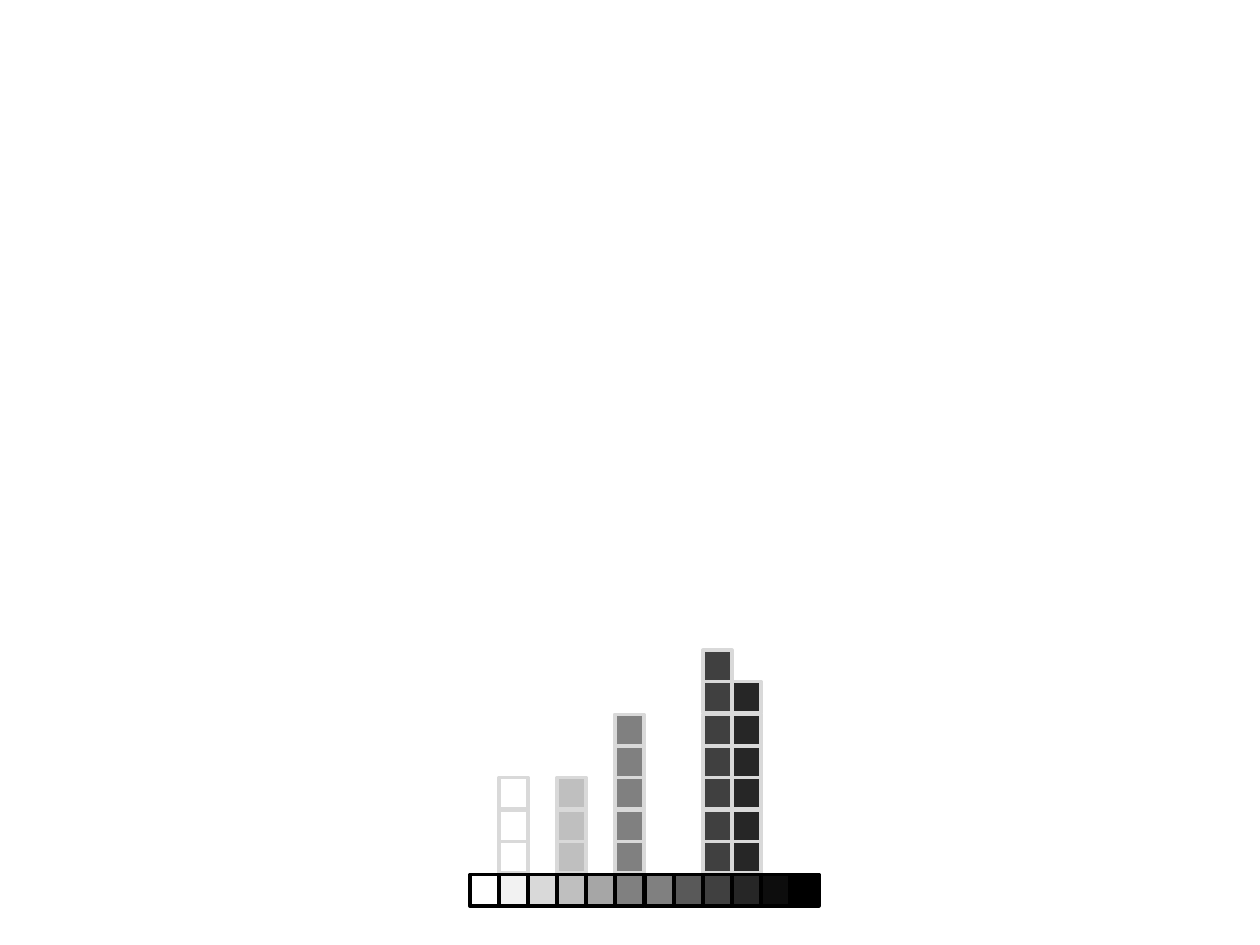
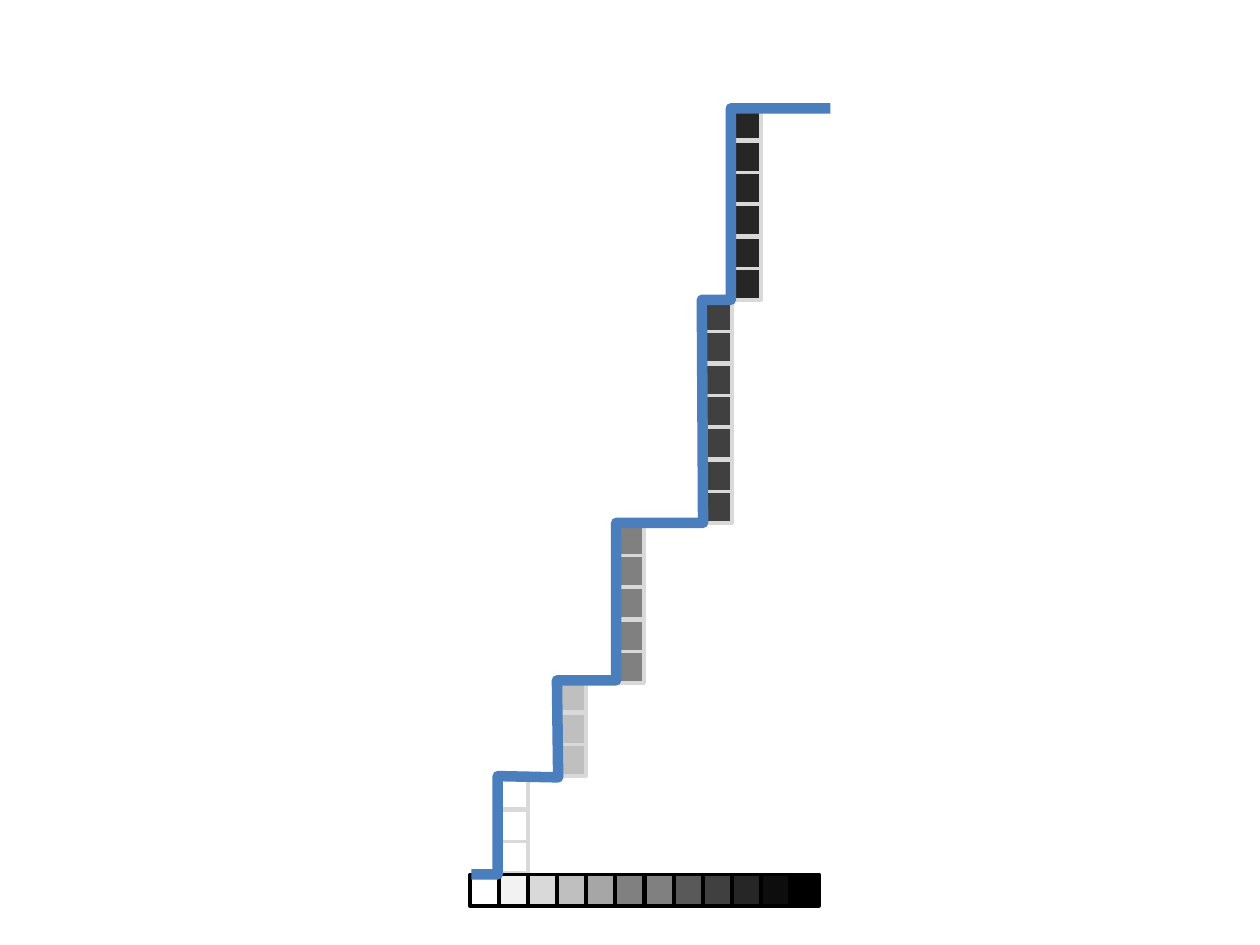
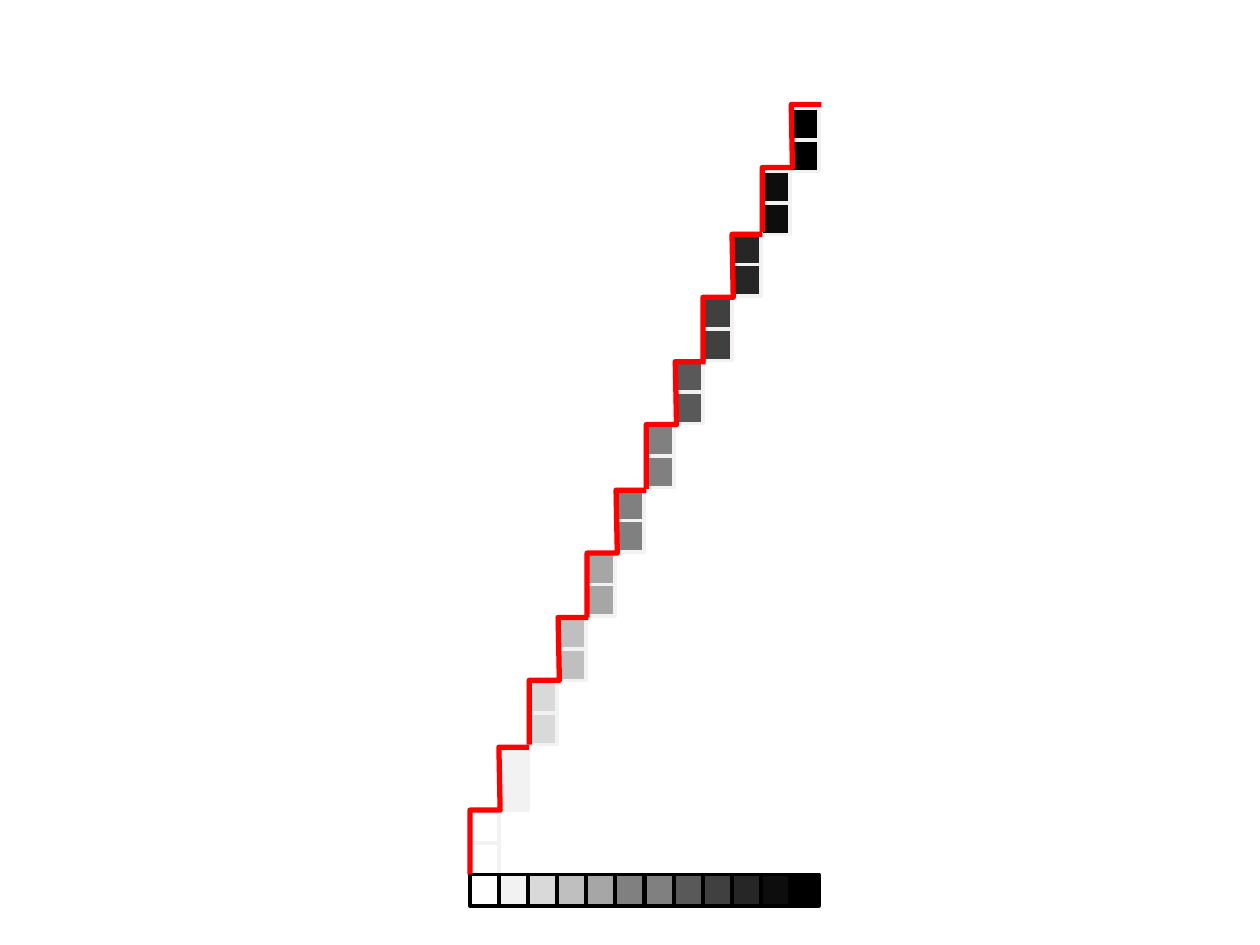
from pptx import Presentation
from pptx.dml.color import RGBColor
from pptx.enum.shapes import MSO_SHAPE
from pptx.util import Pt

EMU_PER_PX = 9144  # 100 px to the inch

COLORS = {
    "ramp_outline": "000000",
    "histogram_outline": "D9D9D9",
    "uniform_outline": "F2F2F2",
    "histogram_curve": "4B7EBC",
    "uniform_curve": "FF0000",
}
GRAYS = ["FFFFFF", "F2F2F2", "D9D9D9", "BFBFBF", "A6A6A6", "808080",
         "808080", "595959", "404040", "262626", "0D0D0D", "000000"]

RAMP_LEFT, RAMP_TOP, RAMP_SPAN = 373, 694, 254
CELL_WIDTH, CELL_HEIGHT, ROW_PITCH = 23, 25, 25.4

# Gray level: (number of cells, bottom when stacked cumulatively, fill)
HISTOGRAM = {
    1: (3, 694, "FFFFFF"),
    3: (3, 617, "BFBFBF"),
    5: (5, 543, "808080"),
    8: (7, 416, "404040"),
    9: (6, 239, "262626"),
}
HISTOGRAM_CURVE = [
    (374, 694), (395, 694), (395, 616), (443, 617), (442, 540), (489, 540),
    (489, 415), (558, 415), (557, 238), (580, 238), (580, 86), (659, 86),
]
UNIFORM_BOTTOMS = [695, 644, 592, 541, 490, 439, 388, 337, 287, 236, 187, 137]
DOUBLE_STEP = [(0, 0), (0, -51), (24, -51), (23, -101), (47, -101)]
DOUBLE_STEP_STARTS = [(373, 694), (420, 591), (466, 490),
                      (513, 388), (558, 287), (605, 184)]


class Deck:
    def __init__(self):
        self.presentation = Presentation()
        self.presentation.slide_width = 1000 * EMU_PER_PX
        self.presentation.slide_height = 750 * EMU_PER_PX
        self.slide = None

    def add_slide(self):
        layout = self.presentation.slide_layouts[6]
        self.slide = self.presentation.slides.add_slide(layout)

    def style_line(self, shape, color, width):
        shape.shadow.inherit = False
        shape.line.color.rgb = RGBColor.from_string(color)
        shape.line.width = Pt(width)

    def cell(self, shapes, level, top, fill, outline):
        """Add one cell in the column of a gray level."""
        left = RAMP_LEFT + round(RAMP_SPAN * level / (len(GRAYS) - 1))
        box = [length * EMU_PER_PX for length in (left, top, CELL_WIDTH, CELL_HEIGHT)]
        shape = shapes.add_shape(MSO_SHAPE.RECTANGLE, *box)
        shape.fill.solid()
        shape.fill.fore_color.rgb = RGBColor.from_string(fill)
        self.style_line(shape, outline, 2)

    def column(self, level, count, bottom, fill, outline):
        """Stack a group of cells upwards from bottom."""
        group = self.slide.shapes.add_group_shape()
        for row in range(1, count + 1):
            self.cell(group.shapes, level, int(bottom - row * ROW_PITCH), fill, outline)

    def ramp(self):
        for level, gray in enumerate(GRAYS):
            self.cell(self.slide.shapes, level, RAMP_TOP, gray, COLORS["ramp_outline"])

    def stairs(self, points, color, width):
        builder = self.slide.shapes.build_freeform(*points[0], scale=EMU_PER_PX)
        builder.add_line_segments(points[1:], close=False)
        shape = builder.convert_to_shape()
        shape.fill.background()
        self.style_line(shape, color, width)


def add_histogram_slide(deck, cumulative):
    deck.add_slide()
    for level, (count, bottom, fill) in HISTOGRAM.items():
        deck.column(level, count, bottom if cumulative else RAMP_TOP, fill,
                    COLORS["histogram_outline"])
    deck.ramp()
    if cumulative:
        deck.stairs(HISTOGRAM_CURVE, COLORS["histogram_curve"], 6)


def add_uniform_slide(deck):
    deck.add_slide()
    for level, (bottom, gray) in enumerate(zip(UNIFORM_BOTTOMS, GRAYS)):
        deck.column(level, 2, bottom, gray, COLORS["uniform_outline"])
    deck.ramp()
    for left, bottom in DOUBLE_STEP_STARTS:
        points = [(left + x, bottom + y) for x, y in DOUBLE_STEP]
        deck.stairs(points, COLORS["uniform_curve"], 3)


def main():
    deck = Deck()
    add_histogram_slide(deck, cumulative=False)
    add_histogram_slide(deck, cumulative=True)
    add_uniform_slide(deck)
    deck.presentation.save("out.pptx")


if __name__ == "__main__":
    main()
